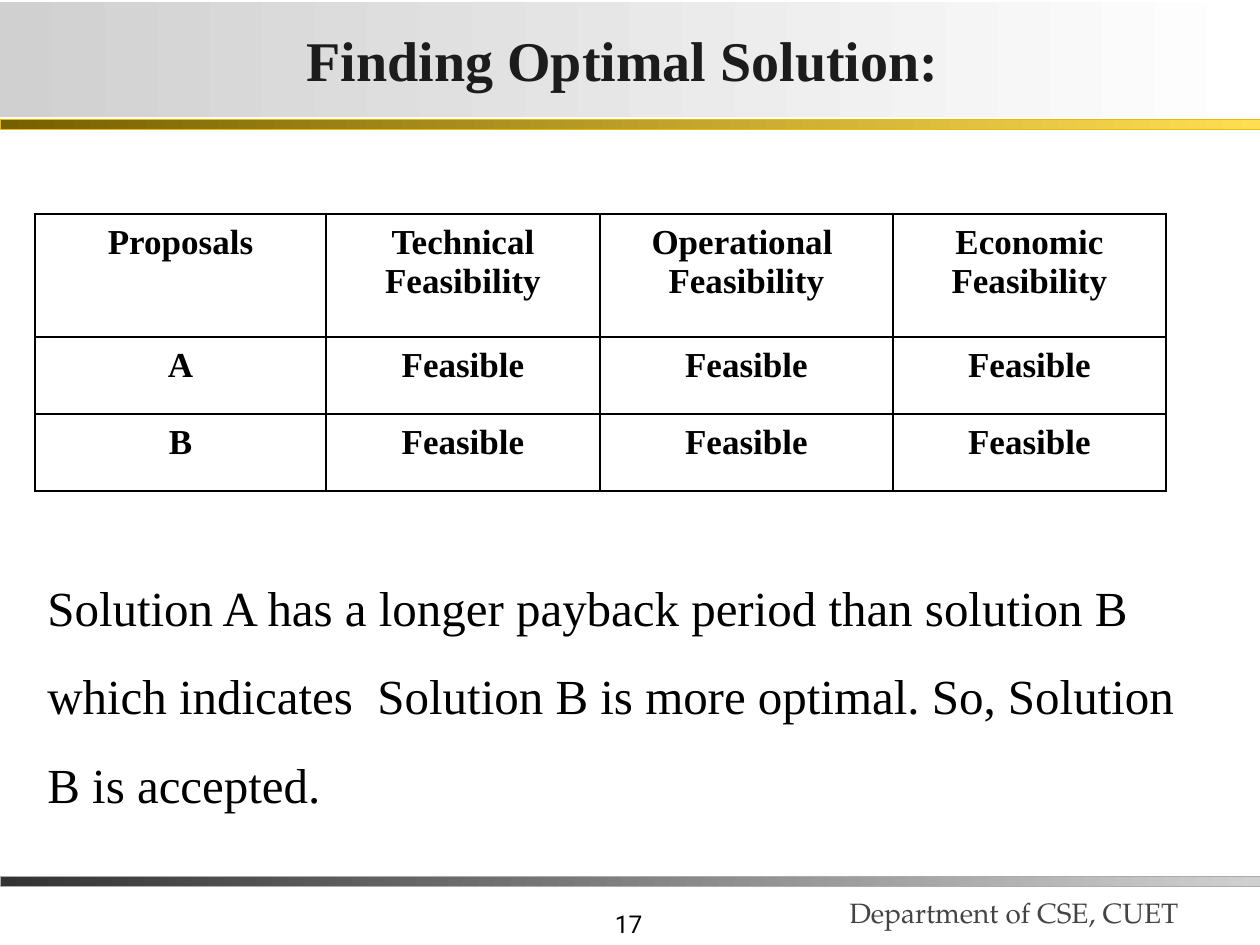
"""Build the "Finding Optimal Solution" slide with its feasibility table."""
from lxml import etree
from pptx import Presentation
from pptx.dml.color import RGBColor
from pptx.enum.shapes import MSO_SHAPE
from pptx.enum.text import MSO_ANCHOR, PP_ALIGN
from pptx.oxml import parse_xml
from pptx.util import Pt

PX = 914400 / 126
NS = "http://schemas.openxmlformats.org/drawingml/2006/main"
RECT = MSO_SHAPE.RECTANGLE
TOP, MIDDLE, BOTTOM = MSO_ANCHOR.TOP, MSO_ANCHOR.MIDDLE, MSO_ANCHOR.BOTTOM
LEFT, CENTER, RIGHT = PP_ALIGN.LEFT, PP_ALIGN.CENTER, PP_ALIGN.RIGHT
BLACK = RGBColor(0x00, 0x00, 0x00)
INK = RGBColor(0x1C, 0x1C, 0x1C)
GRAY = RGBColor(0x44, 0x44, 0x44)
CHARCOAL = RGBColor(0x33, 0x33, 0x33)
SILVER = RGBColor(0xD0, 0xD0, 0xD0)
SILVER_EDGE = RGBColor(0xAB, 0xAB, 0xAB)
BRONZE = RGBColor(0x76, 0x60, 0x00)
GOLD = RGBColor(0xFF, 0xDE, 0x53)
GOLD_EDGE = RGBColor(0xE8, 0xBC, 0x00)
WHITE = RGBColor(0xFF, 0xFF, 0xFF)
SERIF = "Times New Roman"


def px(n):
    return round(n * PX)


def write(tf, text, align, size, name, color, bold=False, spacing=1.0):
    tf.word_wrap = True
    for i, line in enumerate(text.split("\n")):
        p = tf.add_paragraph() if i else tf.paragraphs[0]
        p.alignment, p.line_spacing = align, spacing
        r = p.add_run()
        r.text = line
        for key, value in {"size": Pt(size), "name": name, "bold": bold}.items():
            setattr(r.font, key, value)
        r.font.color.rgb = color


prs = Presentation()
prs.slide_width, prs.slide_height = px(1260), px(945)
s = prs.slides.add_slide(prs.slide_layouts[6])

bars = [
    (876, 10, CHARCOAL, SILVER, SILVER_EDGE),
    (119, 10, BRONZE, GOLD, GOLD_EDGE),
    (2, 115, SILVER, WHITE, None),
]
for top, height, start, end, edge in bars:
    sp = s.shapes.add_shape(RECT, 0, px(top), px(1260), px(height))
    sp.shadow.inherit = False
    sp.fill.gradient()
    sp.fill.gradient_angle = 0
    for stop, color in zip(sp.fill.gradient_stops, (start, end)):
        stop.color.rgb = color
    if edge:
        sp.line.color.rgb = edge
        sp.line.width = Pt(0.25)
    else:
        sp.line.fill.background()

tf = sp.text_frame
margins = {"margin_left": 3, "margin_right": 3, "margin_top": 1, "margin_bottom": 1}
for key, value in margins.items():
    setattr(tf, key, px(value))
tf.vertical_anchor = MIDDLE
write(tf, "Finding Optimal Solution: ", CENTER, 32, SERIF, INK, True)

body = (
    "Solution A has a longer payback period than solution B which indicates  "
    "Solution B is more optimal. So, Solution B is accepted."
)
texts = [
    ((393, 882, 262, 63), BOTTOM, ("17", RIGHT, 14, "Roboto", BLACK)),
    ((837, 857, 433, 78), BOTTOM,
     ("Department of CSE, CUET", LEFT, 16, "TeX Gyre Pagella", GRAY)),
    ((35, 542, 1160, 280), TOP, (body, LEFT, 28, SERIF, BLACK, False, 1.5)),
]
for box, anchor, content in texts:
    tf = s.shapes.add_textbox(*map(px, box)).text_frame
    tf.vertical_anchor = anchor
    write(tf, *content)

rows = [
    ["Proposals", "Technical Feasibility", "Operational\u00a0\nFeasibility", "Economic\nFeasibility"],
    ["A"] + ["Feasible"] * 3,
    ["B"] + ["Feasible"] * 3,
]
widths, heights = [291, 274, 293, 273], [123, 77, 77]
table = s.shapes.add_table(
    len(rows), len(widths), px(35), px(214), px(sum(widths)), px(sum(heights))
).table
for column, width in zip(table.columns, widths):
    column.width = px(width)
for row, height, values in zip(table.rows, heights, rows):
    row.height = px(height)
    for cell, value in zip(row.cells, values):
        for side in ("left", "right", "top", "bottom"):
            setattr(cell, f"margin_{side}", px(9))
        tcPr = cell._tc.get_or_add_tcPr()
        for tag in ("lnL", "lnR", "lnT", "lnB"):
            ln = parse_xml(f'<a:{tag} xmlns:a="{NS}" w="12700"/>')
            fill = etree.SubElement(ln, f"{{{NS}}}solidFill")
            etree.SubElement(fill, f"{{{NS}}}srgbClr", val=str(BLACK))
            tcPr.append(ln)
        cell.fill.background()
        write(cell.text_frame, value, CENTER, 20, SERIF, BLACK, True)

prs.save("out.pptx")
